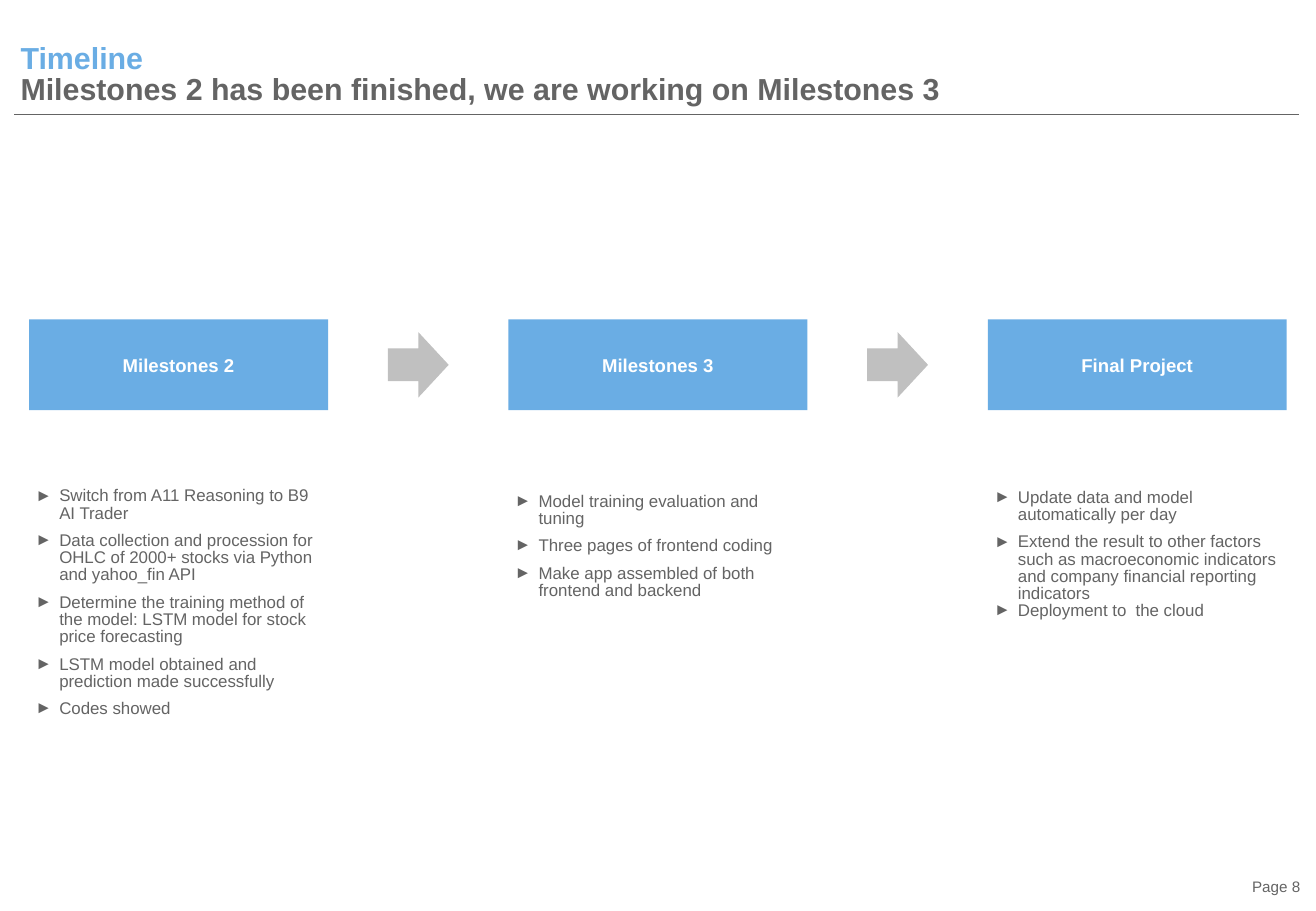
from lxml import etree
from pptx import Presentation, util as u
from pptx.dml.color import RGBColor
from pptx.enum import shapes as sh, text as tx
from pptx.oxml.ns import qn

HUES = {"blue": "6AADE4", "gray": "646464", "light": "C0C0C0", "white": "FFFFFF"}
STEPS = [
    ("Milestones 2", 10.08, [
        "Switch from A11 Reasoning to B9 AI Trader",
        "Data collection and procession for OHLC of 2000+ stocks via Python and yahoo_fin API",
        "Determine the training method of the model: LSTM model for stock price forecasting",
        "LSTM model obtained and prediction made successfully",
        "Codes showed"], (0, 6, 6, 6, 6), 6.27),
    ("Milestones 3", 10.19, [
        "Model training evaluation and tuning",
        "Three pages of frontend coding",
        "Make app assembled of both frontend and backend"], (0, 6, 6), 3.23),
    ("Final Project", 10.11, [
        "Update data and model automatically per day",
        "Extend the result to other factors such as macroeconomic indicators "
        "and company financial reporting indicators",
        "Deployment to  the cloud"], (0, 6, 0), 3.02),
]


def hue(name):
    """Return the named colour."""
    return RGBColor.from_string(HUES[name])


def cms(*nums):
    """Turn centimetre numbers into lengths."""
    return [u.Cm(n) for n in nums]


def mark(para):
    """Give a paragraph a hanging arrow bullet."""
    props = para._p.get_or_add_pPr()
    props.set("marL", str(u.Cm(0.5)))
    props.set("indent", str(-u.Cm(0.5)))
    tint = etree.SubElement(props, qn("a:buClr"))
    etree.SubElement(tint, qn("a:srgbClr")).set("val", HUES["gray"])
    etree.SubElement(props, qn("a:buFont")).set("typeface", "Arial")
    etree.SubElement(props, qn("a:buChar")).set("char", "►")


def write(shape, lines, size=10, color="gray", bold=False, align="LEFT",
          anchor="TOP", pads=(0.13,) * 4, lead=1.0, gaps=None, bullet=False):
    """Fill a shape with formatted paragraphs and return its frame."""
    frame = shape.text_frame
    frame.word_wrap = True
    frame.vertical_anchor = getattr(tx.MSO_ANCHOR, anchor)
    (frame.margin_left, frame.margin_top,
     frame.margin_right, frame.margin_bottom) = cms(*pads)
    for i, line in enumerate(lines):
        para = frame.paragraphs[0] if i == 0 else frame.add_paragraph()
        para.text = line
        para.alignment = getattr(tx.PP_ALIGN, align)
        para.line_spacing = lead
        para.space_before = u.Pt(gaps[i] if gaps else 0)
        if bullet:
            mark(para)
        for run in para.runs:
            font = run.font
            font.name, font.size, font.bold = "Arial", u.Pt(size), bold
            font.color.rgb = hue(color)
    return frame


def block(slide, kind, box, fill):
    """Add a flat filled preset shape."""
    shape = slide.shapes.add_shape(kind, *cms(*box))
    shape.shadow.inherit = False
    shape.fill.solid()
    shape.fill.fore_color.rgb = hue(fill)
    shape.line.fill.background()
    return shape


def header(slide, left, top, wide, high):
    """Place the two-line title above its rule."""
    title = slide.shapes.add_textbox(*cms(left, top, wide, high))
    frame = write(title, ["Timeline\vMilestones 2 has been finished, we are working on Milestones 3"],
                  size=18, bold=True, anchor="BOTTOM", pads=(0.13, 0, 0, 0), lead=0.85)
    frame.paragraphs[0].runs[0].font.color.rgb = hue("blue")
    base = top + high + 0.17
    rule = slide.shapes.add_connector(
        sh.MSO_CONNECTOR.STRAIGHT, *cms(left, base, left + wide - 0.05, base))
    rule.line.color.rgb = hue("gray")
    rule.line.width = u.Pt(0.75)
    etree.SubElement(rule._element.spPr, qn("a:effectLst"))


def flow(slide, left, top, wide, high):
    """Place equal step boxes with arrows between and lists below."""
    box = 6.25
    pitch = (wide - box) / (len(STEPS) - 1)
    long, tall = 1.27, 1.37
    for i, (name, low, items, gaps, deep) in enumerate(STEPS):
        x = left + i * pitch
        step = block(slide, sh.MSO_SHAPE.RECTANGLE, (x, top, box, high), "blue")
        write(step, [name], size=11, color="white", bold=True,
              align="CENTER", anchor="MIDDLE")
        notes = slide.shapes.add_textbox(*cms(x, low, box, deep))
        write(notes, items, lead=0.85, gaps=gaps, bullet=True)
        if i:
            mid = x - (pitch - box) / 2
            block(slide, sh.MSO_SHAPE.RIGHT_ARROW,
                  (mid - long / 2, top + (high - tall) / 2, long, tall), "light")


def footer(slide, left, top, wide, high):
    """Place the page number."""
    page = slide.shapes.add_textbox(*cms(left, top, wide, high))
    write(page, ["Page 8"], size=9, align="RIGHT", anchor="MIDDLE", pads=(0,) * 4)


deck = Presentation()
deck.slide_width, deck.slide_height = cms(27.51, 19.05)
slide = deck.slides.add_slide(deck.slide_layouts[6])
header(slide, 0.3, 0.03, 26.9, 2.2)
flow(slide, 0.61, 6.68, 26.29, 1.9)
footer(slide, 20.73, 18.26, 6.45, 0.56)
deck.save("out.pptx")
